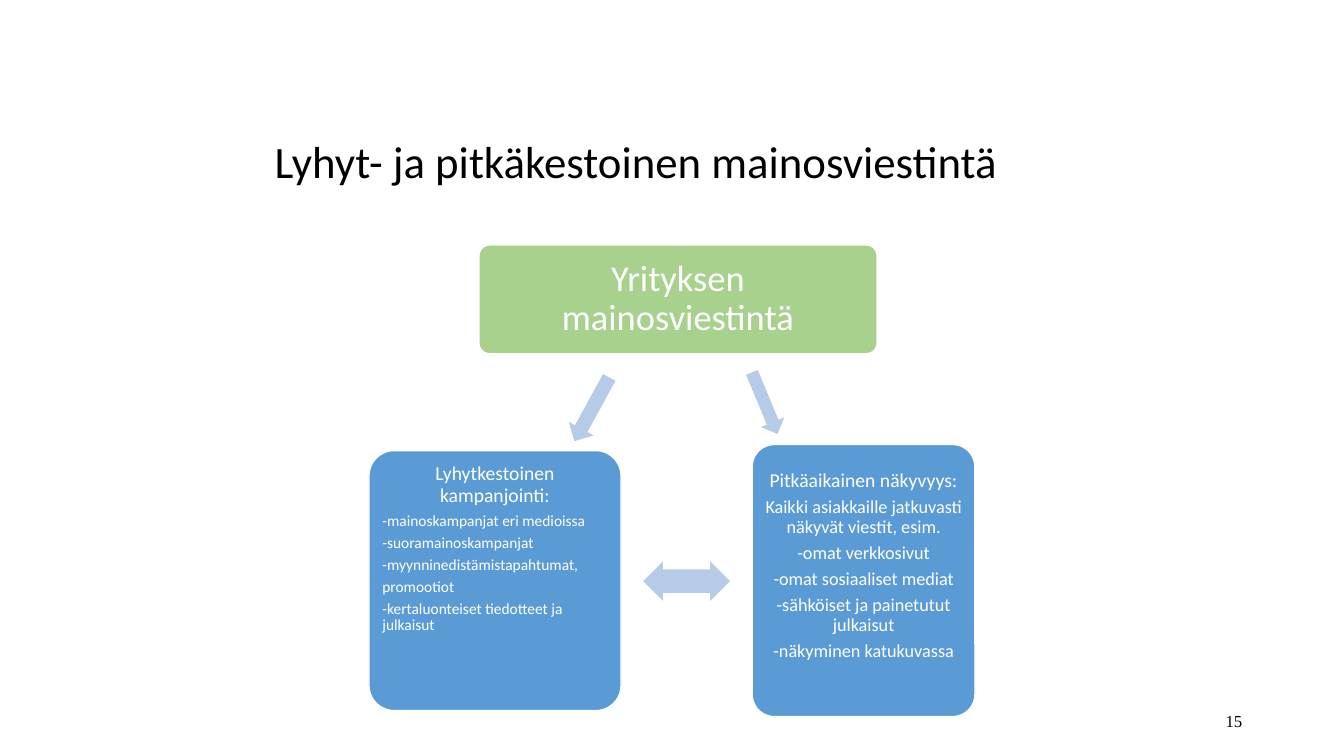
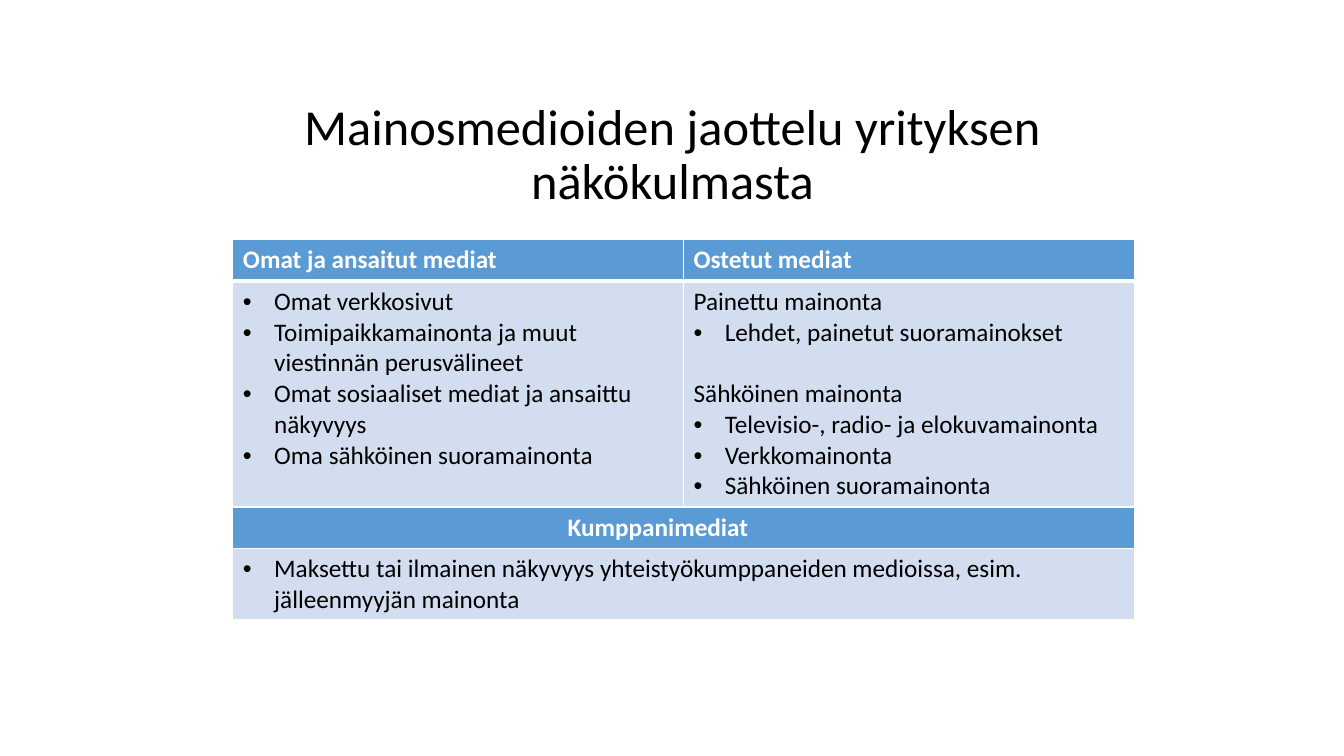
from dataclasses import dataclass

import lxml.etree
import pptx
import pptx.dml.color
import pptx.enum.shapes
import pptx.enum.text
import pptx.oxml.ns
import pptx.util

Inches = pptx.util.Inches
Pt = pptx.util.Pt
RGB = pptx.dml.color.RGBColor.from_string
Align = pptx.enum.text.PP_ALIGN
Anchor = pptx.enum.text.MSO_ANCHOR
Shape = pptx.enum.shapes.MSO_SHAPE
qn = pptx.oxml.ns.qn


@dataclass(frozen=True)
class Theme:
    font: str = "Calibri"
    number_font: str = "Times New Roman"
    ink: str = "000000"
    white: str = "FFFFFF"
    blue: str = "5B9BD5"
    pale_blue: str = "D2DEEF"
    arrow: str = "B5CBE7"
    green: str = "A9D18E"
    root_size: int = 26
    heading_size: int = 14
    long_term_size: int = 13
    campaign_size: int = 11
    table_size: int = 18
    number_size: int = 12
    line_spacing: float = 0.9
    space_after: float = 0.35  # share of the type size
    bullet_indent: float = 0.31


THEME = Theme()


@dataclass(frozen=True)
class Line:
    text: str
    size: int = THEME.table_size
    color: str = THEME.ink
    font: str = THEME.font
    bold: bool = False
    align: Align = Align.LEFT
    spacing: float = 1.0
    before: float = 0
    after: float = 0
    indent: float = 0
    bullet: bool = False


def write_lines(frame, lines, anchor=Anchor.TOP):
    frame.word_wrap = True
    frame.vertical_anchor = anchor
    for index, line in enumerate(lines):
        paragraph = frame.paragraphs[0] if index == 0 else frame.add_paragraph()
        paragraph.text = line.text
        paragraph.alignment = line.align
        paragraph.line_spacing = line.spacing
        paragraph.space_before = Pt(line.before)
        paragraph.space_after = Pt(line.after)
        set_indent(paragraph, line)
        for run in paragraph.runs:
            run.font.name = line.font
            run.font.size = Pt(line.size)
            run.font.bold = line.bold
            run.font.color.rgb = RGB(line.color)


def set_indent(paragraph, line):
    properties = paragraph._p.get_or_add_pPr()
    if line.bullet:
        indent = Inches(THEME.bullet_indent)
        properties.set("marL", str(indent))
        properties.set("indent", str(-indent))
        bullet_font = lxml.etree.SubElement(properties, qn("a:buFont"))
        bullet_font.set("typeface", "Arial")
        lxml.etree.SubElement(properties, qn("a:buChar")).set("char", "•")
    elif line.indent:
        properties.set("marL", str(Inches(line.indent)))


def add_text(slide, box, line, anchor):
    frame = slide.shapes.add_textbox(*map(Inches, box)).text_frame
    write_lines(frame, [line], anchor)


def add_title(slide, box, text, size):
    title = Line(text, size, align=Align.CENTER, spacing=THEME.line_spacing)
    add_text(slide, box, title, Anchor.BOTTOM)


def add_shape(slide, kind, box, fill):
    shape = slide.shapes.add_shape(kind, *map(Inches, box))
    shape.shadow.inherit = False
    shape.fill.solid()
    shape.fill.fore_color.rgb = RGB(fill)
    shape.line.fill.background()
    return shape


def add_card(slide, box, fill, lines, anchor=Anchor.TOP, inset=0.06, top=0.06):
    card = add_shape(slide, Shape.ROUNDED_RECTANGLE, box, fill)
    card.adjustments[0] = 0.1
    card.line.color.rgb = RGB(THEME.white)
    card.line.width = Pt(1)
    frame = card.text_frame
    frame.margin_left = frame.margin_right = frame.margin_bottom = Inches(inset)
    frame.margin_top = Inches(top)
    write_lines(frame, lines, anchor)


def add_arrow(slide, kind, box, rotation=0):
    arrow = add_shape(slide, kind, box, THEME.arrow)
    arrow.rotation = rotation
    return arrow


def card_line(text, size, align=Align.CENTER):
    return Line(text, size, THEME.white, align=align, spacing=THEME.line_spacing,
                after=round(size * THEME.space_after, 1))


def table_heading(text, indent=0):
    return Line(text, color=THEME.white, bold=True, indent=indent)


def bullets(*texts):
    return [Line(text, bullet=True) for text in texts]


def set_borders(cell, top, bottom):
    """Draw white cell edges; top and bottom are widths in points."""
    properties = cell._tc.get_or_add_tcPr()
    widths = {"a:lnL": 1, "a:lnR": 1, "a:lnT": top, "a:lnB": bottom}
    for index, (side, width) in enumerate(widths.items()):
        edge = lxml.etree.Element(qn(side), w=str(Pt(width)))
        fill = lxml.etree.SubElement(edge, qn("a:solidFill"))
        lxml.etree.SubElement(fill, qn("a:srgbClr")).set("val", THEME.white)
        properties.insert(index, edge)


def add_media_table(slide, left, top, column_width, rows):
    """Each row is (height, fill, cells); a single cell spans both columns."""
    columns = 2
    height = sum(row[0] for row in rows)
    table = slide.shapes.add_table(
        len(rows), columns, Inches(left), Inches(top),
        Inches(columns * column_width), Inches(height)).table
    table.first_row = table.horz_banding = False
    rules = [1, 3] + [1] * (len(rows) - 1)
    for r, (row_height, fill, contents) in enumerate(rows):
        table.rows[r].height = Inches(row_height)
        for c in range(columns):
            cell = table.cell(r, c)
            cell.fill.solid()
            cell.fill.fore_color.rgb = RGB(fill)
            set_borders(cell, rules[r], rules[r + 1])
        if len(contents) == 1:
            table.cell(r, 0).merge(table.cell(r, columns - 1))
        for c, lines in enumerate(contents):
            write_lines(table.cell(r, c).text_frame, lines)


def build_campaign_slide(slide):
    add_title(slide, (1.31, 0.84, 10, 1.08),
              "Lyhyt- ja pitkäkestoinen mainosviestintä", 32)
    add_text(slide, (9.42, 6.95, 3, 0.4),
             Line("15", THEME.number_size, font=THEME.number_font, align=Align.RIGHT),
             Anchor.MIDDLE)

    root = Line("Yrityksen mainosviestintä", THEME.root_size, THEME.white,
                align=Align.CENTER, spacing=THEME.line_spacing)
    add_card(slide, (4.75, 2.43, 3.95, 1.08), THEME.green, [root],
             Anchor.MIDDLE, inset=0.11, top=0.11)

    long_term = [card_line("Pitkäaikainen näkyvyys:", THEME.heading_size)]
    long_term += [card_line(text, THEME.long_term_size) for text in (
        "Kaikki asiakkaille jatkuvasti näkyvät viestit, esim.",
        "-omat verkkosivut",
        "-omat sosiaaliset mediat",
        "-sähköiset ja painetutut julkaisut",
        "-näkyminen katukuvassa")]
    add_card(slide, (7.46, 4.41, 2.21, 2.7), THEME.blue, long_term, top=0.19)

    campaigns = [card_line("Lyhytkestoinen kampanjointi:", THEME.heading_size)]
    campaigns += [card_line(text, THEME.campaign_size, Align.LEFT) for text in (
        "-mainoskampanjat eri medioissa",
        "-suoramainoskampanjat",
        "-myynninedistämistapahtumat,",
        "promootiot",
        "-kertaluonteiset tiedotteet ja julkaisut")]
    add_card(slide, (3.66, 4.47, 2.5, 2.58), THEME.blue, campaigns)

    add_arrow(slide, Shape.DOWN_ARROW, (7.46, 3.67, 0.25, 0.66), -22.6)
    add_arrow(slide, Shape.DOWN_ARROW, (5.73, 3.7, 0.28, 0.72), 28.7)
    exchange = add_arrow(slide, Shape.LEFT_RIGHT_ARROW, (6.38, 5.57, 0.86, 0.39))
    exchange.adjustments[0] = 0.6


def build_media_slide(slide):
    add_title(slide, (1.67, 0.74, 10, 1.4),
              "Mainosmedioiden jaottelu yrityksen näkökulmasta", 36)
    own_media = bullets(
        "Omat verkkosivut",
        "Toimipaikkamainonta ja muut viestinnän perusvälineet",
        "Omat sosiaaliset mediat ja ansaittu näkyvyys",
        "Oma sähköinen suoramainonta")
    paid_media = [
        Line("Painettu mainonta"),
        *bullets("Lehdet, painetut suoramainokset"),
        Line("Sähköinen mainonta", before=22),
        *bullets("Televisio-, radio- ja elokuvamainonta",
                 "Verkkomainonta",
                 "Sähköinen suoramainonta")]
    partner_media = bullets(
        "Maksettu tai ilmainen näkyvyys yhteistyökumppaneiden medioissa, "
        "esim. jälleenmyyjän mainonta")
    add_media_table(slide, 2.31, 2.38, 4.47, [
        (0.41, THEME.blue, [[table_heading("Omat ja ansaitut mediat")],
                            [table_heading("Ostetut mediat")]]),
        (2.24, THEME.pale_blue, [own_media, paid_media]),
        (0.41, THEME.blue, [[table_heading("Kumppanimediat", indent=3.22)]]),
        (0.71, THEME.pale_blue, [partner_media])])


def main():
    deck = pptx.Presentation()
    deck.slide_width = Inches(13.33)
    deck.slide_height = Inches(7.5)
    blank = deck.slide_layouts[6]
    for build in (build_campaign_slide, build_media_slide):
        build(deck.slides.add_slide(blank))
    deck.save("out.pptx")


if __name__ == "__main__":
    main()
